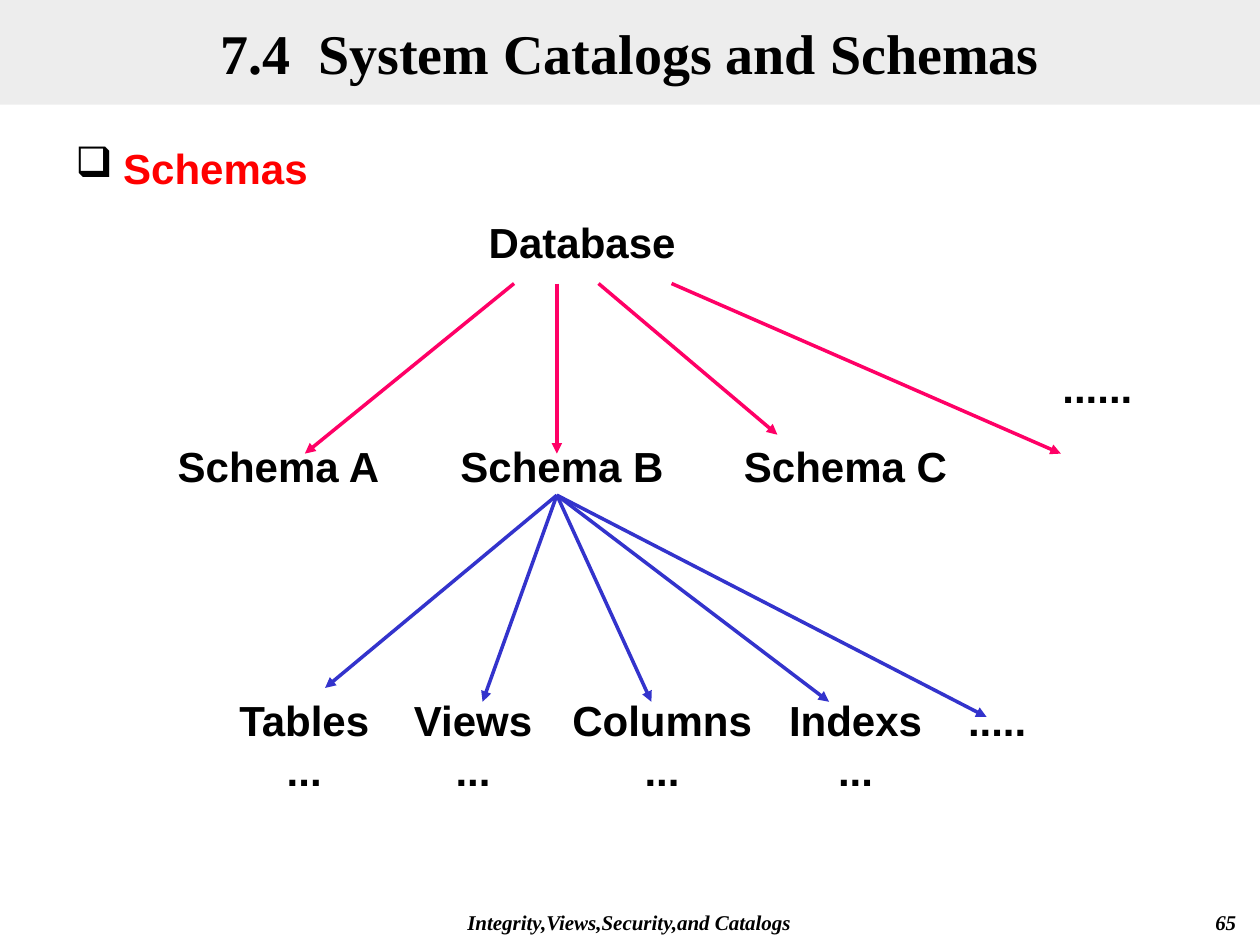
"""Build a slide showing a database divided into schemas and their objects."""
from lxml.etree import SubElement
from pptx import Presentation
from pptx.dml.color import RGBColor
from pptx.enum.shapes import MSO_CONNECTOR
from pptx.enum.text import MSO_ANCHOR, MSO_AUTO_SIZE, PP_ALIGN
from pptx.oxml.ns import qn
from pptx.util import Inches, Pt

COLORS = {
    "black": "000000",
    "band": "DDDDDD",
    "heading": "FF0000",
    "schema": "FF0066",
    "object": "3333CC",
}
SERIF = "Times New Roman"


def rgb(name):
    return RGBColor.from_string(COLORS[name])


def write(box, text, size=24, font="Arial", color="black", italic=False,
          align=PP_ALIGN.CENTER, anchor=MSO_ANCHOR.TOP, bullet=None):
    frame = box.text_frame
    frame.word_wrap = True
    frame.auto_size = MSO_AUTO_SIZE.NONE
    frame.vertical_anchor = anchor
    para = frame.paragraphs[0]
    para.alignment = align
    para.space_before = Pt(0)
    if bullet:
        properties = para._p.get_or_add_pPr()
        properties.set("marL", str(Inches(0.38)))
        properties.set("indent", str(-Inches(0.38)))
        bullet_color = SubElement(properties, qn("a:buClr"))
        SubElement(bullet_color, qn("a:srgbClr"), val=COLORS["black"])
        SubElement(properties, qn("a:buChar"), char=bullet)
    span = para.add_run()
    span.text = text
    span.font.name = font
    span.font.size = Pt(size)
    span.font.bold = True
    span.font.italic = italic
    span.font.color.rgb = rgb(color)


class SlideBuilder:
    """Hold the slide, its line style and the container being filled."""

    line_width = Pt(2)

    def __init__(self, page):
        self.page = page
        self.shapes = page.shapes

    def title(self, text):
        box = self.page.shapes.title
        box.left, box.top = Inches(0), Inches(0)
        box.width, box.height = Inches(10), Inches(0.83)
        box.fill.solid()
        box.fill.fore_color.rgb = rgb("band")
        fill_color = box._element.spPr.find(".//" + qn("a:srgbClr"))
        SubElement(fill_color, qn("a:alpha"), val="50000")
        write(box, text, size=32, font=SERIF, anchor=MSO_ANCHOR.MIDDLE)

    def group(self):
        self.shapes = self.page.shapes.add_group_shape().shapes

    def label(self, text, left, top, width, height=0.5, **style):
        box = self.shapes.add_textbox(
            Inches(left), Inches(top), Inches(width), Inches(height))
        write(box, text, **style)

    def arrow(self, start, end, color):
        points = [Inches(value) for value in (*start, *end)]
        arrow = self.shapes.add_connector(MSO_CONNECTOR.STRAIGHT, *points)
        arrow.line.color.rgb = rgb(color)
        arrow.line.width = self.line_width
        SubElement(arrow.line._get_or_add_ln(), qn("a:tailEnd"), type="triangle")
        SubElement(arrow._element.spPr, qn("a:effectLst"))


def main():
    deck = Presentation()
    deck.slide_width, deck.slide_height = Inches(10), Inches(7.5)
    builder = SlideBuilder(deck.slides.add_slide(deck.slide_layouts[5]))

    builder.title("7.4  System Catalogs and Schemas")
    footer = {"size": 12, "font": SERIF, "italic": True}
    builder.label("Integrity,Views,Security,and Catalogs",
                  2.83, 7.17, 4.33, 0.25, **footer)
    builder.label("65", 7.83, 7.17, 2.08, 0.25, align=PP_ALIGN.RIGHT, **footer)
    builder.label("Schemas", 0.5, 1.08, 9, 5.75, color="heading",
                  align=PP_ALIGN.LEFT, bullet="❑")
    builder.label("Database", 3.58, 1.67, 2.08)

    builder.group()
    for index, letter in enumerate("ABC"):
        builder.label(f"Schema {letter}", 1.17 + 2.25 * index, 3.45, 2.08)
    builder.label("......", 7.67, 2.82, 2.08)
    for start_x, end in [(4.08, (2.42, 3.6)), (4.42, (4.42, 3.6)),
                         (4.75, (6.17, 3.45)), (5.33, (8.42, 3.6))]:
        builder.arrow((start_x, 2.25), end, "schema")

    builder.group()
    for text, left, width, height in [
            ("Tables ...", 1.75, 1.33, 0.9), ("Views ...", 3.17, 1.17, 0.9),
            ("Columns ...", 4.42, 1.67, 0.9), ("Indexs ...", 6.08, 1.42, 0.9),
            (".....", 7.5, 0.83, 0.5)]:
        builder.label(text, left, 5.46, width, height)
    for end in [(2.58, 5.46), (3.83, 5.57), (5.17, 5.57),
                (6.58, 5.57), (7.83, 5.69)]:
        builder.arrow((4.42, 3.93), end, "object")

    deck.save("out.pptx")


if __name__ == "__main__":
    main()
